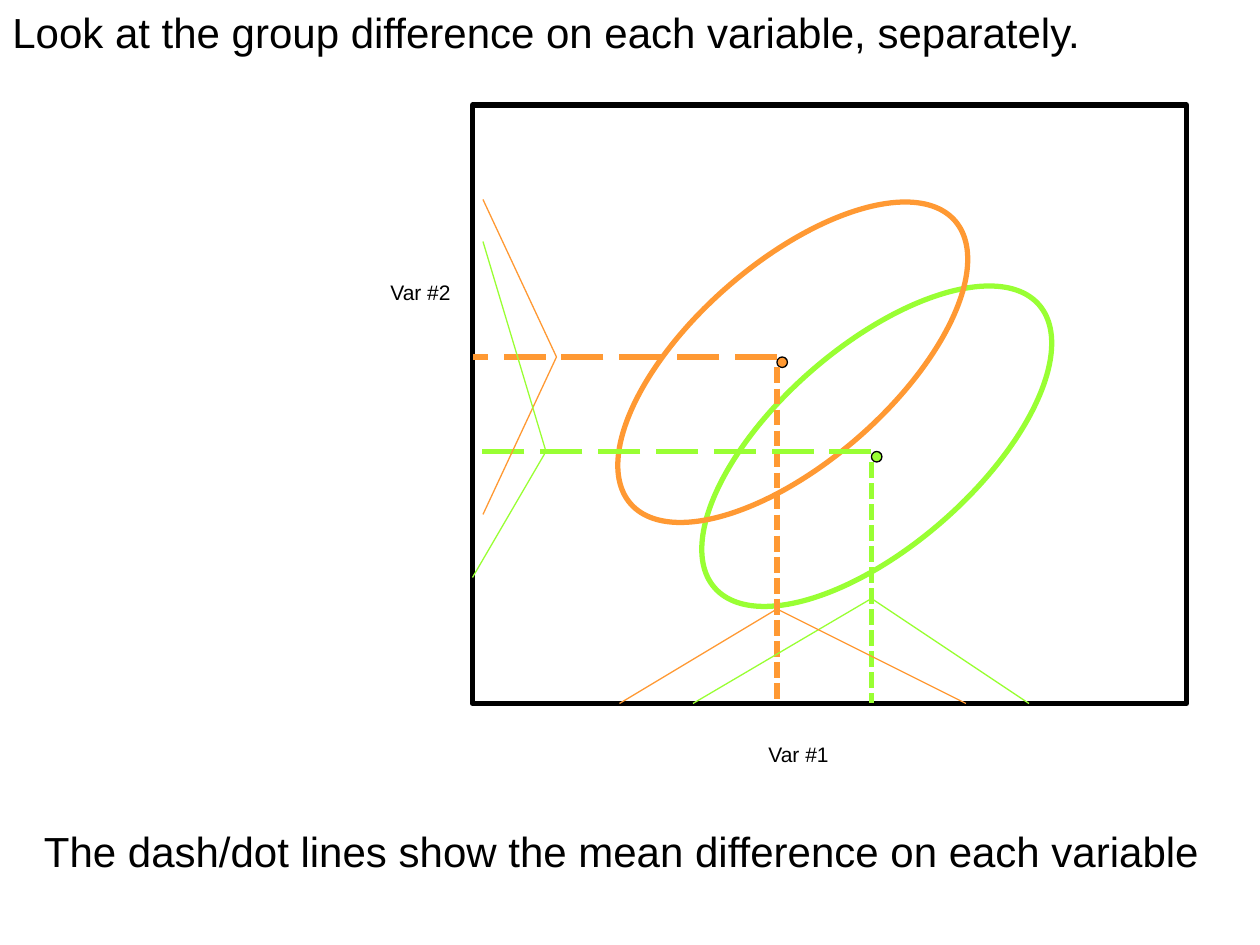
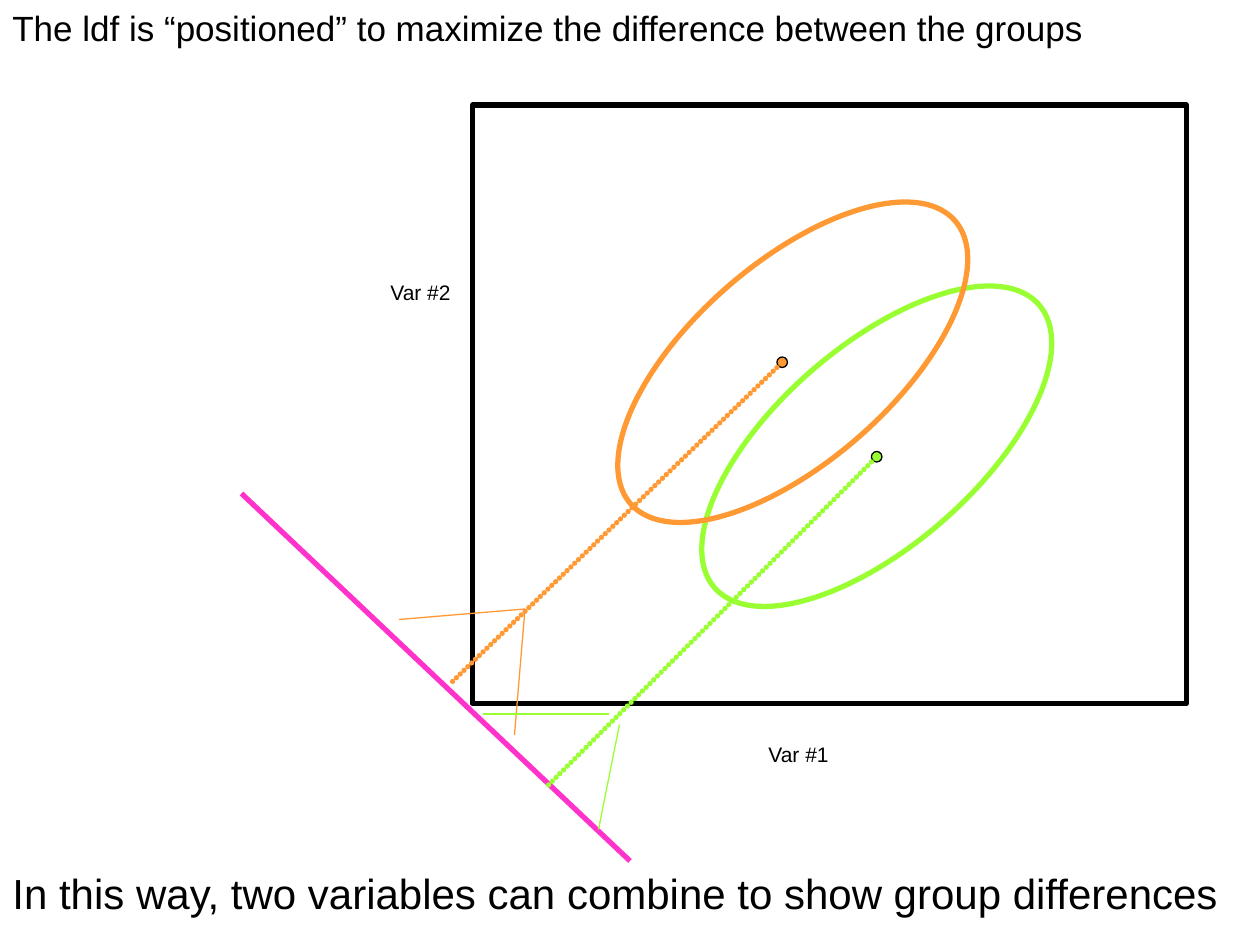
from itertools import pairwise

from lxml import etree
from pptx import Presentation
from pptx.dml.color import RGBColor
from pptx.enum import dml, shapes, text
from pptx.oxml.ns import qn
from pptx.util import Emu, Pt

PX = 7620  # 120 px to the inch
ORANGE, GREEN, PINK, BLACK = "FF9933", "99FF33", "FF33CC", "000000"
THICK, THIN = 3, 0.75
ORANGE_MEAN, GREEN_MEAN = (740, 340), (830, 430)
AXIS_X, AXIS_Y = 450, 670  # left and bottom edges of the plot
DOT, DASH = dml.MSO_LINE.SQUARE_DOT, dml.MSO_LINE.LONG_DASH


def px(*values):
    return [Emu(value * PX) for value in values]


def rgb(color):
    return RGBColor.from_string(color)


def add_label(slide, words, box, size):
    frame = slide.shapes.add_textbox(*px(*box)).text_frame
    frame.word_wrap = True
    frame.auto_size = text.MSO_AUTO_SIZE.SHAPE_TO_FIT_TEXT
    frame.text = words
    font = frame.paragraphs[0].runs[0].font
    font.name, font.size = "Arial", Pt(size)
    font.color.rgb = rgb(BLACK)


def add_outline(slide, preset, box, color, width=THICK, fill=None, rotation=0):
    outline = slide.shapes.add_shape(preset, *px(*box))
    outline.shadow.inherit = False
    outline.rotation = rotation
    outline.line.color.rgb = rgb(color)
    outline.line.width = Pt(width)
    if fill:
        outline.fill.solid()
        outline.fill.fore_color.rgb = rgb(fill)
    else:
        outline.fill.background()


def add_line(slide, start, end, color, width=THICK, dash=None):
    line = slide.shapes.add_connector(
        shapes.MSO_CONNECTOR.STRAIGHT, *px(*start, *end))
    line.line.color.rgb = rgb(color)
    line.line.width = Pt(width)
    if dash:
        line.line.dash_style = dash
    etree.SubElement(line._element.spPr, qn("a:effectLst"))
    return line


def add_beaded_line(slide, start, end, color):
    """Line of touching round dots."""
    outline = add_line(slide, start, end, color).line._get_or_add_ln()
    outline.set("cap", "rnd")
    beads = etree.SubElement(outline, qn("a:custDash"))
    etree.SubElement(beads, qn("a:ds"), d="1000", sp="100000")


def add_curve(slide, color, *points):
    """Thin peaked distribution through the given points."""
    for start, end in pairwise(points):
        add_line(slide, start, end, color, THIN)


def add_plot(slide):
    """Axes box, the two group ellipses and their centroids."""
    add_outline(slide, shapes.MSO_SHAPE.RECTANGLE, (AXIS_X, 100, 680, 570), BLACK)
    oval = shapes.MSO_SHAPE.OVAL
    for color, corner in ((GREEN, (740, 220)), (ORANGE, (660, 140))):
        add_outline(slide, oval, (*corner, 190, 410), color, rotation=48.9)
    for color, mean in ((ORANGE, ORANGE_MEAN), (GREEN, GREEN_MEAN)):
        add_outline(slide, oval, (*mean, 10, 10), BLACK, THIN, color)
    add_label(slide, "Var #2", (360, 260, 110, 36), 12)
    add_label(slide, "Var #1", (720, 700, 150, 36), 12)


def build_separate_variables(slide):
    add_label(slide, "Look at the group difference on each variable, separately.",
              (0, 0, 1200, 60), 24)
    add_plot(slide)
    add_label(slide, "The dash/dot lines show the mean difference on each variable",
              (30, 780, 1170, 60), 24)

    # Means projected on each axis
    for color, (x, y) in ((ORANGE, ORANGE_MEAN), (GREEN, GREEN_MEAN)):
        add_line(slide, (x, y + 10), (x, AXIS_Y), color, dash=DOT)
        add_line(slide, (x, y), (AXIS_X, y), color, dash=DASH)

    # Distributions on Var #1, then on Var #2
    add_curve(slide, GREEN, (660, AXIS_Y), (830, 570), (980, AXIS_Y))
    add_curve(slide, ORANGE, (590, AXIS_Y), (740, 580), (920, AXIS_Y))
    add_curve(slide, ORANGE, (460, 190), (530, 340), (460, 490))
    add_curve(slide, GREEN, (460, 230), (520, 430), (AXIS_X, 550))


def build_discriminant_function(slide):
    add_label(slide, "The ldf is “positioned” to maximize the difference between the groups",
              (0, 0, 1200, 53), 20)
    add_plot(slide)

    # Discriminant function and the means projected on it
    add_line(slide, (230, 470), (600, 820), PINK)
    add_beaded_line(slide, (740, 350), (430, 650), ORANGE)
    add_beaded_line(slide, (830, 440), (520, 750), GREEN)
    add_label(slide, "In this way, two variables can combine to show group differences",
              (0, 820, 1240, 60), 24)

    # Distributions along the function; the green one is open at its peak
    add_curve(slide, ORANGE, (380, 590), (500, 580), (490, 700))
    add_curve(slide, GREEN, (580, 680), (460, 680))
    add_curve(slide, GREEN, (590, 690), (570, 790))


def main():
    deck = Presentation()
    deck.slide_width, deck.slide_height = px(1200, 900)
    blank = deck.slide_layouts[6]
    for build in (build_separate_variables, build_discriminant_function):
        build(deck.slides.add_slide(blank))
    deck.save("out.pptx")


if __name__ == "__main__":
    main()
